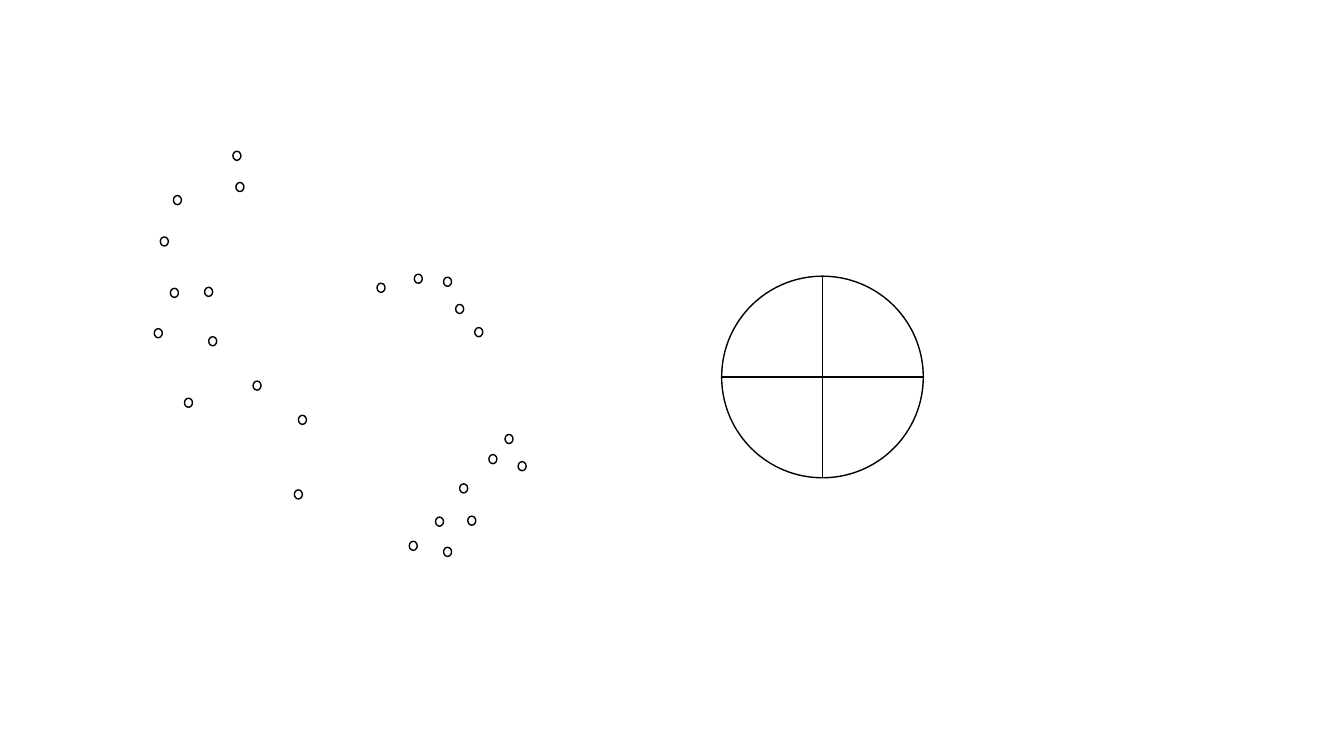
from dataclasses import dataclass

from lxml import etree
from pptx import Presentation
from pptx.dml.color import RGBColor
from pptx.enum.shapes import MSO_CONNECTOR, MSO_SHAPE
from pptx.oxml.ns import qn
from pptx.util import Pt

OVAL = MSO_SHAPE.OVAL
STRAIGHT = MSO_CONNECTOR.STRAIGHT
BLANK = 6


@dataclass(frozen=True)
class Theme:
    ink: RGBColor = RGBColor(0, 0, 0)
    paper: RGBColor = RGBColor(255, 255, 255)
    stroke: float = 1


THEME = Theme()
DOT = (5.76, 6.48)

# Dot corners as offsets from the top left of the scatter.
RIGHT_DOTS = [
    (239.04, 216.72), (206.64, 282.96), (159.12, 94.32), (182.16, 278.64),
    (223.92, 260.64), (206.64, 90), (250.56, 202.32), (228.96, 126),
    (185.76, 87.84), (200.88, 261.36), (215.28, 109.44), (218.16, 237.6),
    (259.92, 221.76),
]
LEFT_DOTS = [
    (11.52, 97.92), (56.16, 0), (36, 97.2), (38.88, 132.48),
    (102.96, 188.64), (70.56, 164.16), (13.68, 31.68), (58.32, 22.32),
    (21.6, 176.4), (0, 126.72), (4.32, 61.2), (100.08, 241.92),
]


def ink_line(line):
    line.color.rgb = THEME.ink
    line.width = Pt(THEME.stroke)


def add_oval(shapes, box, fill=None, turn=0):
    """Add an outlined oval, hollow unless a fill is given."""
    oval = shapes.add_shape(OVAL, *map(Pt, box))
    oval.shadow.inherit = False
    oval.rotation = turn
    if fill is None:
        oval.fill.background()
    else:
        oval.fill.solid()
        oval.fill.fore_color.rgb = fill
    ink_line(oval.line)


def add_rule(shapes, ends):
    rule = shapes.add_connector(STRAIGHT, *map(Pt, ends))
    ink_line(rule.line)
    etree.SubElement(rule._element.spPr, qn("a:effectLst"))


def add_wheel(slide, box):
    """Draw a circle cut into quarters, filling the box."""
    left, top, width, height = box
    mid_x, mid_y = left + width / 2, top + height / 2
    shapes = slide.shapes.add_group_shape().shapes
    add_oval(shapes, box, THEME.paper)
    add_rule(shapes, (mid_x, top, mid_x, top + height))
    add_rule(shapes, (left, mid_y, left + width, mid_y))


def add_scatter(slide, left, top):
    """Place both clusters of dots from the given corner."""
    shapes = slide.shapes.add_group_shape().shapes
    for dots, turn in ((RIGHT_DOTS, 0), (LEFT_DOTS, 180)):
        for x, y in dots:
            add_oval(shapes, (left + x, top + y, *DOT), turn=turn)


def main():
    deck = Presentation()
    deck.slide_width, deck.slide_height = Pt(960), Pt(540)
    slide = deck.slides.add_slide(deck.slide_layouts[BLANK])
    add_wheel(slide, (515.52, 197.28, 144, 144))
    add_scatter(slide, 110.16, 108)
    deck.save("out.pptx")


if __name__ == "__main__":
    main()
